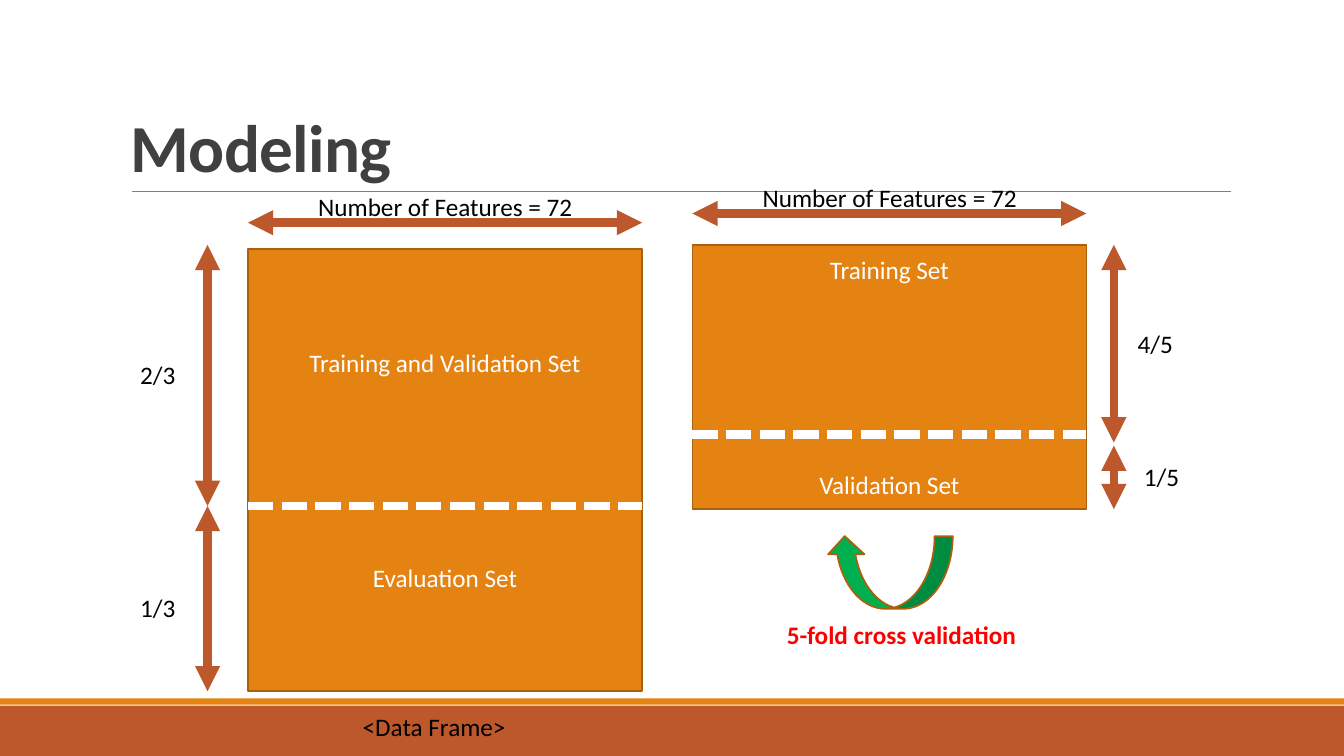
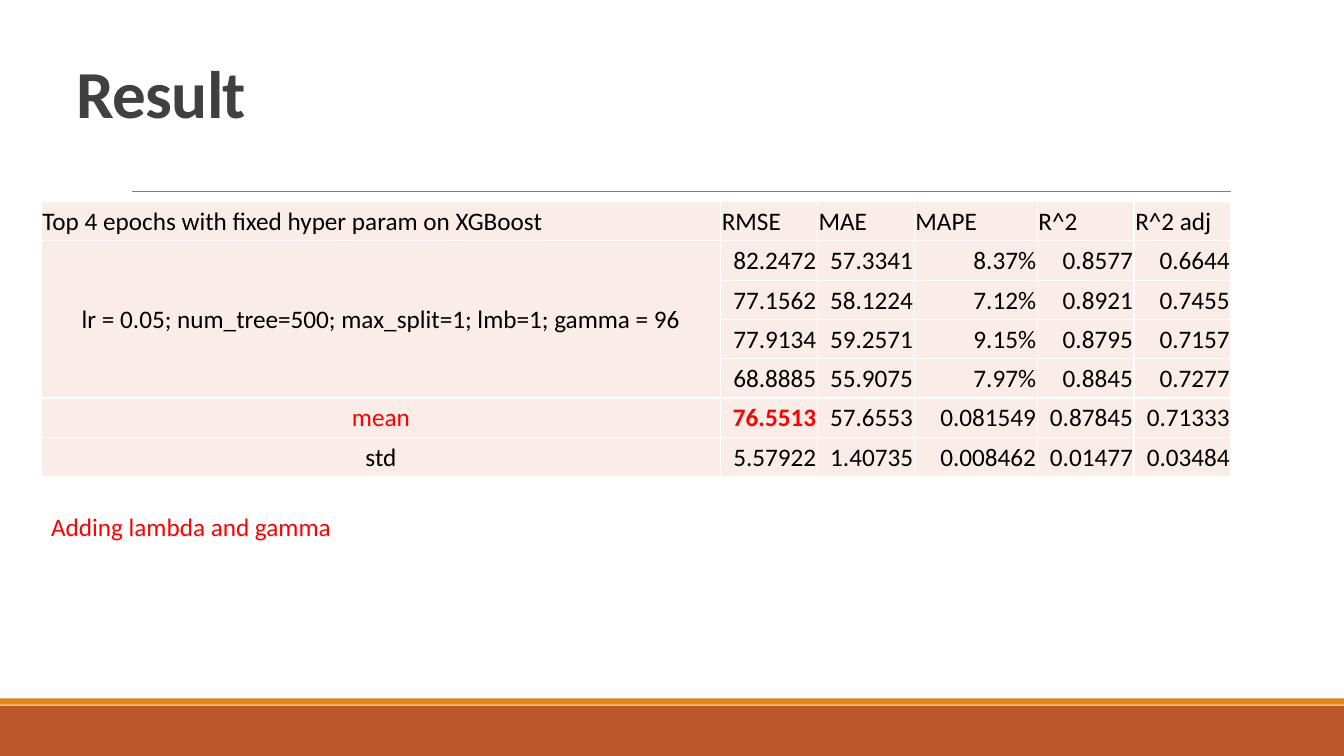
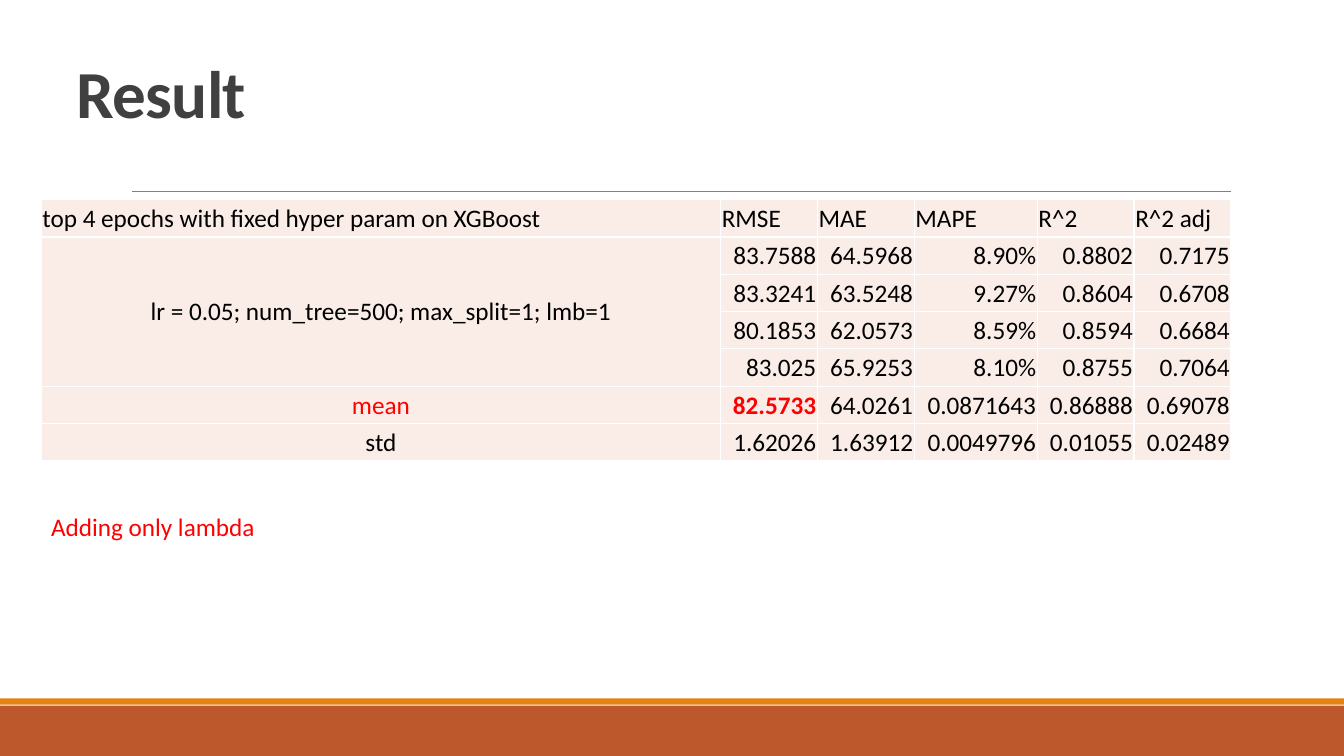
from lxml.etree import SubElement
from pptx import Presentation
from pptx.dml.color import RGBColor
from pptx.enum.dml import MSO_LINE
from pptx.enum.shapes import MSO_CONNECTOR, MSO_SHAPE
from pptx.enum.text import MSO_ANCHOR, PP_ALIGN
from pptx.oxml.ns import qn
from pptx.util import Cm, Pt

HUES = {
    "rust": "BD582C", "amber": "E48312", "edge": "A9610D", "rule": "808080",
    "title": "404040", "text": "000000", "white": "FFFFFF", "red": "FF0000",
    "green": "00B050", "cell": "FAEDE7",
}
WIDE, HIGH = 33.87, 19.05
HEADS = ["RMSE", "MAE", "MAPE", "R^2", "R^2 adj"]
COLS = [17.12, 2.44, 2.44, 3.1, 2.44, 2.44]


def hue(name):
    return RGBColor.from_string(HUES[name])


class Deck:
    """Holds the style and the current slide; lengths are in centimetres."""

    def __init__(self):
        self.show = Presentation()
        self.show.slide_width, self.show.slide_height = Cm(WIDE), Cm(HIGH)
        self.slide = None

    def page(self, title, left, top, high):
        """Start a slide with the shared bands, rule and title."""
        self.slide = self.show.slides.add_slide(self.show.slide_layouts[6])
        self.shape(0, 17.78, WIDE, 1.27, "rust")
        self.shape(0, 17.6, WIDE, 0.16, "amber")
        self.line(3.33, 4.83, 31.01, 4.83, "rule", 0.5)
        frame = self.label(title, left, top, 27.94, high, "title", True, 48)
        frame.vertical_anchor = MSO_ANCHOR.BOTTOM
        para = frame.paragraphs[0]
        para.line_spacing = 0.85
        para.runs[0].font.size = Pt(48)
        para.runs[0]._r.get_or_add_rPr().set("spc", "-50")

    def style(self, para, color="text", bold=False, size=18, align=PP_ALIGN.LEFT):
        para.alignment = align
        font = para.font
        font.name, font.size, font.bold = "Calibri", Pt(size), bold
        font.color.rgb = hue(color)

    def shape(self, x, y, w, h, fill, edge=None, kind=MSO_SHAPE.RECTANGLE):
        item = self.slide.shapes.add_shape(kind, Cm(x), Cm(y), Cm(w), Cm(h))
        item.shadow.inherit = False
        item.fill.solid()
        item.fill.fore_color.rgb = hue(fill)
        if edge:
            item.line.color.rgb = hue(edge)
            item.line.width = Pt(1.25)
        else:
            item.line.fill.background()
        return item

    def line(self, x1, y1, x2, y2, color, width, dash=None, heads=False):
        item = self.slide.shapes.add_connector(
            MSO_CONNECTOR.STRAIGHT, Cm(x1), Cm(y1), Cm(x2), Cm(y2))
        item.line.color.rgb = hue(color)
        item.line.width = Pt(width)
        if dash:
            item.line.dash_style = dash
        props = item.element.spPr
        if heads:
            for end in ("a:headEnd", "a:tailEnd"):
                SubElement(props.find(qn("a:ln")), qn(end), type="triangle")
        SubElement(props, qn("a:effectLst"))

    def label(self, text, x, y, w, h=1.02, color="text", bold=False, size=18):
        box = self.slide.shapes.add_textbox(Cm(x), Cm(y), Cm(w), Cm(h))
        frame = box.text_frame
        frame.word_wrap = True
        frame.text = text
        self.style(frame.paragraphs[0], color, bold, size)
        return frame

    def split(self, x, y, w, h, cut, names):
        """Draw a data block cut in two by a dashed line."""
        frame = self.shape(x, y, w, h, "amber", "edge").text_frame
        frame.text = "\n".join(names)
        frame.vertical_anchor = MSO_ANCHOR.MIDDLE
        for para in frame.paragraphs:
            self.style(para, "white", align=PP_ALIGN.CENTER)
        frame.paragraphs[1].space_before = Pt(132)
        self.line(x, cut, x + w, cut, "white", 6, MSO_LINE.SQUARE_DOT)

    def cell(self, cell, text, **look):
        cell.margin_left = cell.margin_right = cell.margin_top = Cm(0.03)
        cell.margin_bottom = 0
        cell.vertical_anchor = MSO_ANCHOR.MIDDLE
        cell.text = text
        self.style(cell.text_frame.paragraphs[0], **look)
        props = cell._tc.get_or_add_tcPr()
        for side in ("a:lnL", "a:lnR", "a:lnT", "a:lnB"):
            edge = SubElement(props, qn(side), w=str(Pt(1)))
            SubElement(SubElement(edge, qn("a:solidFill")),
                       qn("a:srgbClr"), val=HUES["white"])
        cell.fill.solid()
        cell.fill.fore_color.rgb = hue("cell")

    def table(self, top, step, head, setup, rows):
        """Draw the scores; the setup cell spans the four epochs."""
        names = [head, setup, "", "", "", "mean", "std"]
        lines = [HEADS] + [row.split() for row in rows]
        grid = self.slide.shapes.add_table(
            len(lines), len(COLS), Cm(1.04), Cm(top),
            Cm(sum(COLS)), Cm(step * len(lines))).table
        grid.first_row = grid.horz_banding = False
        for col, wide in zip(grid.columns, COLS):
            col.width = Cm(wide)
        for r, (name, vals) in enumerate(zip(names, lines)):
            grid.rows[r].height = Cm(step)
            for c, text in enumerate([name] + vals):
                if r == 0:
                    align = PP_ALIGN.LEFT
                else:
                    align = PP_ALIGN.RIGHT if c else PP_ALIGN.CENTER
                key = name == "mean" and c < 2
                self.cell(grid.cell(r, c), text, align=align,
                          color="red" if key else "text", bold=key and c == 1)
        grid.cell(1, 0).merge(grid.cell(4, 0))


def model(deck):
    deck.page("Modeling", 3.05, 0.79, 4.04)
    deck.split(6.25, 6.27, 9.93, 11.15, 12.75,
               ["Training and Validation Set", "Evaluation Set"])
    deck.split(17.45, 6.17, 9.93, 6.65, 10.95,
               ["Training Set", "Validation Set"])
    for x, y, end in [(5.23, 6.17, 12.75), (5.23, 12.75, 17.42),
                      (28.07, 6.17, 11.15), (28.07, 11.23, 12.83)]:
        deck.line(x, y, x, end, "rust", 6, heads=True)
    for x, y in [(6.25, 5.61), (17.45, 5.38)]:
        deck.line(x, y, x + 9.93, y, "rust", 6, heads=True)
        deck.label("Number of Features = 72", x + 1.52, y - 0.92, 7.44)
    for text, x, y in [("2/3", 3.28, 8.94), ("1/3", 3.28, 14.81),
                       ("4/5", 28.42, 8.15), ("1/5", 28.58, 11.51)]:
        deck.label(text, x, y, 1.65)
    deck.label("<Data Frame>", 8.89, 17.81, 4.4)
    loop = deck.shape(20.83, 13.51, 3.18, 1.83, "green", "edge",
                      MSO_SHAPE.CURVED_DOWN_ARROW)
    loop.rotation = 180
    deck.label("5-fold cross validation", 19.58, 15.47, 6.6,
               color="red", bold=True)


def result(deck, note, *table):
    deck.page("Result", 1.68, 1.42, 2.03)
    deck.label(note, 1.04, 12.75, 7.9, color="red")
    deck.table(*table)


def main():
    deck = Deck()
    model(deck)
    result(deck, "Adding lambda and gamma", 5.08, 0.99,
           "Top 4 epochs with fixed hyper param on XGBoost",
           "lr = 0.05; num_tree=500; max_split=1; lmb=1; gamma = 96",
           ["82.2472 57.3341 8.37% 0.8577 0.6644",
            "77.1562 58.1224 7.12% 0.8921 0.7455",
            "77.9134 59.2571 9.15% 0.8795 0.7157",
            "68.8885 55.9075 7.97% 0.8845 0.7277",
            "76.5513 57.6553 0.081549 0.87845 0.71333",
            "5.57922 1.40735 0.008462 0.01477 0.03484"])
    result(deck, "Adding only lambda", 5.03, 0.94,
           "top 4 epochs with fixed hyper param on XGBoost",
           "lr = 0.05; num_tree=500; max_split=1; lmb=1",
           ["83.7588 64.5968 8.90% 0.8802 0.7175",
            "83.3241 63.5248 9.27% 0.8604 0.6708",
            "80.1853 62.0573 8.59% 0.8594 0.6684",
            "83.025 65.9253 8.10% 0.8755 0.7064",
            "82.5733 64.0261 0.0871643 0.86888 0.69078",
            "1.62026 1.63912 0.0049796 0.01055 0.02489"])
    deck.show.save("out.pptx")


if __name__ == "__main__":
    main()
